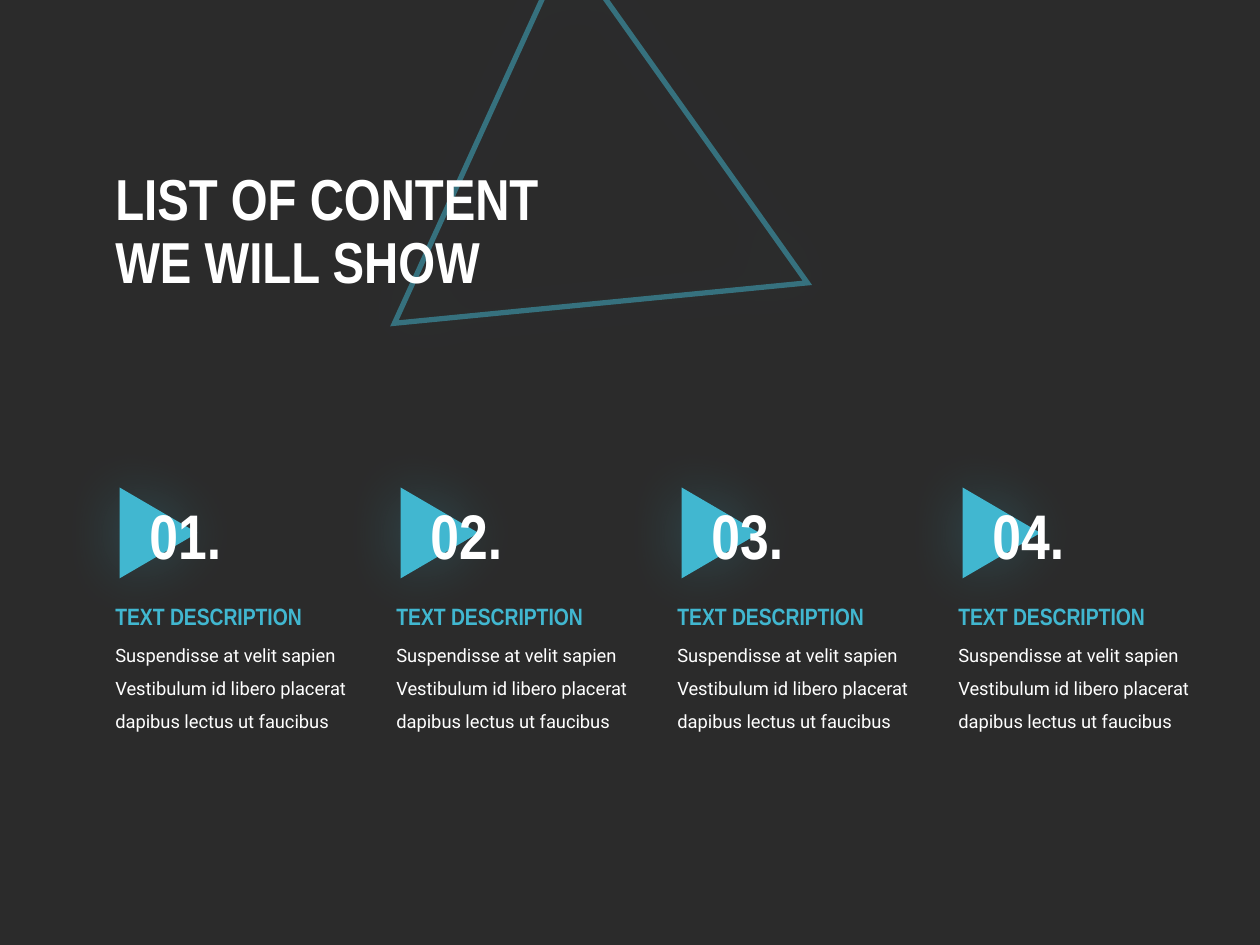
"""Builds a contents slide with a headline and four numbered topics."""
from lxml import etree
from pptx import Presentation
from pptx.dml.color import RGBColor
from pptx.enum.shapes import MSO_SHAPE
from pptx.enum.text import MSO_ANCHOR
from pptx.oxml.ns import qn
from pptx.util import Emu, Pt

TRIANGLE = MSO_SHAPE.ISOSCELES_TRIANGLE
TOP, MIDDLE = MSO_ANCHOR.TOP, MSO_ANCHOR.MIDDLE
DARK = RGBColor(0x2B, 0x2B, 0x2B)
TEAL = RGBColor(0x41, 0xB7, 0xD0)
WHITE = RGBColor(0xFF, 0xFF, 0xFF)
HEAD_FONT, BODY_FONT = "Arial Narrow", "Roboto"

HEADLINE = ["LIST OF CONTENT", "WE WILL SHOW"]
DESCRIPTION = "Suspendisse at velit sapien Vestibulum id libero placerat dapibus lectus ut faucibus"
TOPICS = [(number, "TEXT DESCRIPTION", DESCRIPTION) for number in ("01.", "02.", "03.", "04.")]

PX = 914400 / 126
TOPIC_LEFT, TOPIC_PITCH = 103, 281


def px(*lengths):
    return [Emu(round(length * PX)) for length in lengths]


def add_alpha(color, percent):
    etree.SubElement(color, qn("a:alpha"), val=str(percent * 1000))


def add_triangle(slide, box, rotation, outlined=False):
    triangle = slide.shapes.add_shape(TRIANGLE, *px(*box))
    triangle.rotation = rotation
    if outlined:
        triangle.fill.background()
        triangle.line.color.rgb = TEAL
        triangle.line.width = Pt(3)
        outline = triangle.line._get_or_add_ln()
        add_alpha(outline.find(".//" + qn("a:srgbClr")), 50)
        etree.SubElement(outline, qn("a:miter"), lim="800000")
    else:
        triangle.fill.solid()
        triangle.fill.fore_color.rgb = TEAL
        triangle.line.fill.background()
    triangle.shadow.inherit = False
    effects = triangle._element.spPr.find(qn("a:effectLst"))
    glow = etree.SubElement(effects, qn("a:outerShdw"), blurRad=str(Pt(35)),
                            dist="0", dir="0", algn="ctr", rotWithShape="0")
    add_alpha(etree.SubElement(glow, qn("a:srgbClr"), val=str(TEAL)), 25)


def add_text(slide, box, lines, size, color, font=HEAD_FONT, bold=True, spacing=1.0, anchor=TOP):
    frame = slide.shapes.add_textbox(*px(*box)).text_frame
    frame.word_wrap = True
    frame.vertical_anchor = anchor
    paragraph = frame.paragraphs[0]
    paragraph.line_spacing = spacing
    for index, line in enumerate(lines):
        if index:
            paragraph.add_line_break()
        run = paragraph.add_run()
        run.text = line
        run.font.name = font
        run.font.size = Pt(size)
        run.font.bold = bold
        run.font.color.rgb = color


def main():
    deck = Presentation()
    deck.slide_width, deck.slide_height = px(1260, 945)
    slide = deck.slides.add_slide(deck.slide_layouts[6])
    slide.background.fill.solid()
    slide.background.fill.fore_color.rgb = DARK

    add_triangle(slide, (436, 29, 416, 359), 114.5, outlined=True)
    add_text(slide, (103, 134, 532, 199), HEADLINE, 33, WHITE, spacing=0.9, anchor=MIDDLE)

    for column, (number, heading, description) in enumerate(TOPICS):
        left = TOPIC_LEFT + column * TOPIC_PITCH
        add_triangle(slide, (left + 10, 494, 91, 78), 90)
        add_text(slide, (left + 34, 490, 125, 89), [number], 36, WHITE)
        add_text(slide, (left, 627, 266, 110), [description], 10.5, WHITE,
                 font=BODY_FONT, bold=False, spacing=1.5)
        add_text(slide, (left, 596, 232, 42), [heading], 13.5, TEAL)

    deck.save("out.pptx")


if __name__ == "__main__":
    main()
